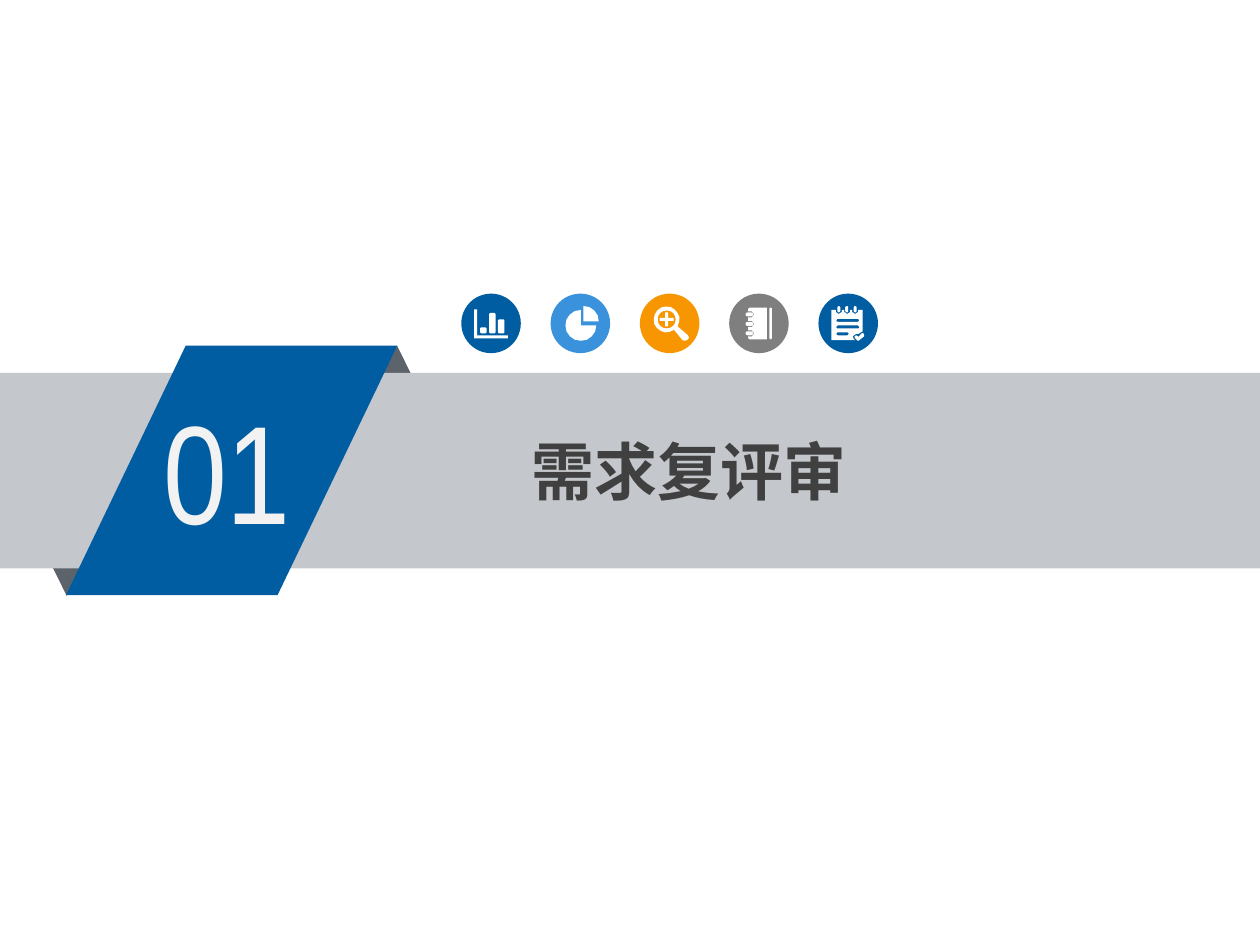
from math import cos, radians, sin

from lxml import etree
from pptx import Presentation
from pptx.dml.color import RGBColor
from pptx.enum.shapes import MSO_SHAPE as Preset
from pptx.enum.text import MSO_ANCHOR as Anchor, MSO_AUTO_SIZE as AutoSize, PP_ALIGN as Align
from pptx.oxml.ns import qn
from pptx.util import Cm, Pt

COLORS = {
    "blue": "005DA2", "sky": "3992DB", "orange": "F79600", "gray": "7F7F7F",
    "band": "C4C7CB", "fold": "5D636A", "white": "FFFFFF",
    "number": "F2F2F2", "title": "404040",
}


def arc(center_x, center_y, radius, start, end, steps):
    angles = [radians(start + (end - start) * step / steps) for step in range(steps + 1)]
    return [(center_x + radius * cos(angle), center_y + radius * sin(angle)) for angle in angles]


def rounded(left, top, width, height, radius):
    right, bottom = left + width - radius, top + height - radius
    left, top = left + radius, top + radius
    corners = [(right, bottom), (left, bottom), (left, top), (right, top)]
    return [point for turn, (x, y) in enumerate(corners)
            for point in arc(x, y, radius, 90 * turn, 90 * turn + 90, 2)]


presentation = Presentation()
presentation.slide_width = Cm(25.4)
presentation.slide_height = Cm(19.05)
slide = presentation.slides.add_slide(presentation.slide_layouts[5])
painted = []

ribbon = slide.shapes.add_group_shape()
for preset, color, rotation, *place in [
    (Preset.ISOSCELES_TRIANGLE, "fold", 0, 6.86, 6.97, 2.29, 2.31),
    (Preset.ISOSCELES_TRIANGLE, "fold", 180, 0.2, 9.7, 2.29, 2.31),
    (Preset.RECTANGLE, "band", 0, 0, 7.52, 25.4, 3.94),
    (Preset.PARALLELOGRAM, "blue", 0, 1.33, 6.97, 6.68, 5.03),
]:
    shape = ribbon.shapes.add_shape(preset, *map(Cm, place))
    shape.rotation = rotation
    painted.append((shape, color))
shape.adjustments[0] = 0.48

number = ribbon.shapes.add_textbox(0, 0, 0, 0)
title = slide.shapes.title
slide.shapes.element.append(title.element)
frame_format = {
    "margin_left": Cm(0.19), "margin_right": Cm(0.19),
    "margin_top": Cm(0.1), "margin_bottom": Cm(0.1),
    "vertical_anchor": Anchor.MIDDLE, "word_wrap": True, "auto_size": AutoSize.NONE,
}
for shape, text, color, place, font_format in [
    (number, "01", "number", (3.1, 7.65, 3.68, 3.61),
     {"name": "Arial Narrow", "size": Pt(80)}),
    (title, "需求复评审", "title", (10.52, 8.61, 6.91, 1.73),
     {"name": "Noto Sans CJK SC", "size": Pt(36), "bold": True}),
]:
    shape.left, shape.top, shape.width, shape.height = map(Cm, place)
    frame = shape.text_frame
    frame.text = text
    for name, value in frame_format.items():
        setattr(frame, name, value)
    paragraph = frame.paragraphs[0]
    paragraph.alignment = Align.LEFT
    font = paragraph.runs[0].font
    for name, value in font_format.items():
        setattr(font, name, value)
    font.color.rgb = RGBColor.from_string(COLORS[color])
    east_asian = etree.SubElement(font._element, qn("a:ea"))
    east_asian.set("typeface", font_format["name"])

chart = [[(26, 32), (32, 32), (32, 84), (94, 84), (94, 90), (26, 90)]]
for column, height in enumerate((12, 41, 28)):
    chart.append(rounded(38 + 18 * column, 80 - height, 13, height, 2))

pie = [
    arc(61, 64, 31, 0, 270, 12) + [(61, 64)],
    arc(66, 56, 31, 270, 360, 4) + [(66, 56)],
]

magnifier = [
    arc(54, 52, 26, 55, 393, 16)
    + [(97, 84), (99, 89), (96, 93), (91, 95), (86, 94)],
    arc(54, 52, 18, 0, 360, 16),
    [(51, 38), (57, 38), (57, 49), (68, 49), (68, 55), (57, 55),
     (57, 66), (51, 66), (51, 55), (40, 55), (40, 49), (51, 49)],
]

notebook_body = [(38, 31), (41, 28), (76, 28), (76, 92), (41, 92), (38, 89)]
rings = []
for top in (74, 55, 36):
    notebook_body += [(38, top + 12), (46, top + 12), (50, top + 6), (46, top), (38, top)]
    rings.append(rounded(33, top + 2, 15, 8, 4))
notebook = [notebook_body, rounded(81, 28, 5, 64, 2)] + rings

notepad_body = [(26, 94), (26, 33)]
rings = []
for left in (35, 51.5, 68):
    notepad_body += [(left, 33), (left, 37), (left + 6, 41), (left + 12, 37), (left + 12, 33)]
    rings.append(rounded(left + 3, 25, 6, 13, 3))
notepad_body += [(89, 33), (89, 76), (84, 79), (81, 81), (76, 81),
                 (69, 86), (71, 91), (74, 94)]
lines = [rounded(36, 51 + 13.5 * row, width, 6, 3) for row, width in enumerate((46, 46, 25))]
tick = [(92, 86), (81, 95), (79, 95), (73, 89), (73, 86),
        (76, 84), (81, 87), (86, 81), (90, 79), (92, 83)]
notepad = [notepad_body, tick] + rings + lines

icons = [("blue", chart), ("sky", pie), ("orange", magnifier),
         ("gray", notebook), ("blue", notepad)]
for position, (color, outlines) in enumerate(icons):
    left, top = 9.3 + 1.8 * position, 5.92
    icon = slide.shapes.add_group_shape()
    disc = icon.shapes.add_shape(Preset.OVAL, Cm(left), Cm(top), Cm(1.2), Cm(1.2))
    points = [[(100 * left + x, 100 * top + y) for x, y in outline] for outline in outlines]
    builder = icon.shapes.build_freeform(*points[0][0], scale=Cm(0.01))
    builder.add_line_segments(points[0][1:])
    for outline in points[1:]:
        builder.move_to(*outline[0])
        builder.add_line_segments(outline[1:])
    painted += [(disc, color), (builder.convert_to_shape(), "white")]

for shape, color in painted:
    shape.shadow.inherit = False
    shape.fill.solid()
    shape.fill.fore_color.rgb = RGBColor.from_string(COLORS[color])
    shape.line.fill.background()

presentation.save("out.pptx")
